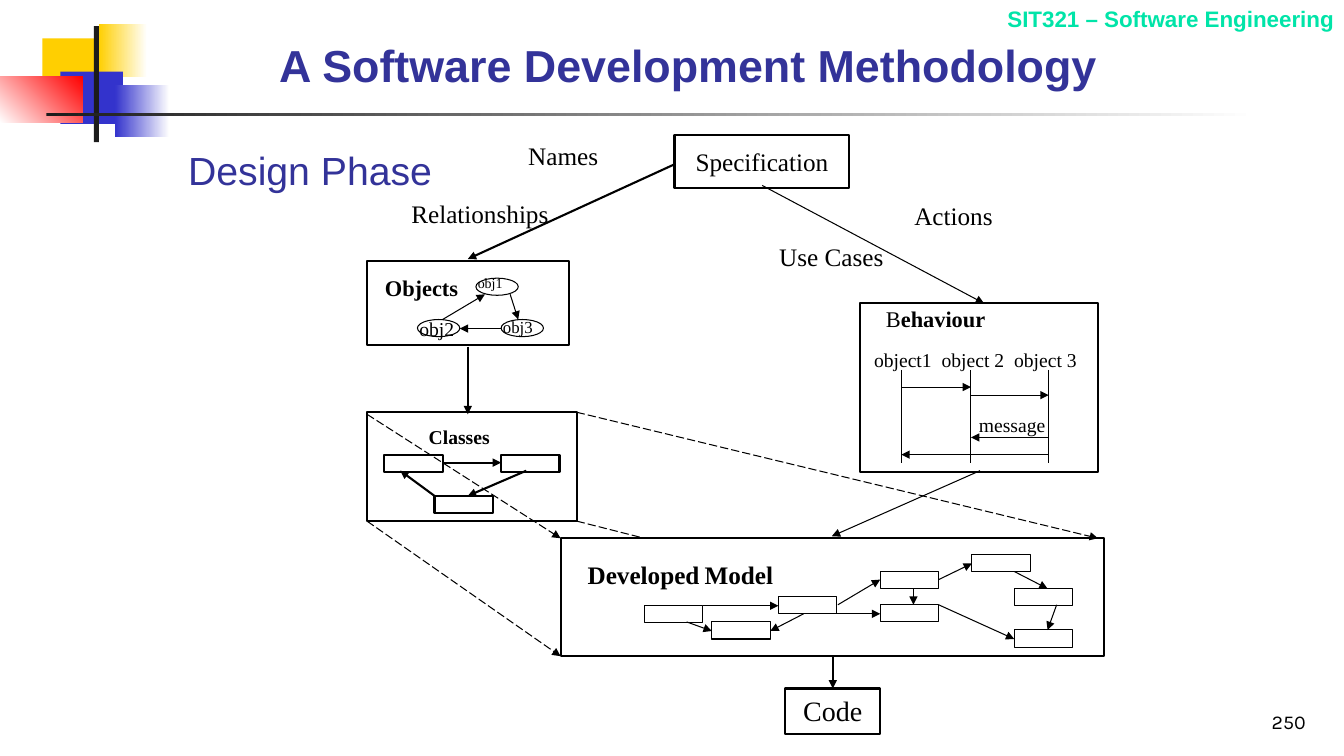
from lxml import etree
from pptx import Presentation
from pptx.dml.color import RGBColor
from pptx.enum import dml, shapes, text
from pptx.oxml import ns
from pptx.util import Inches, Pt

BLACK = RGBColor(0x00, 0x00, 0x00)
WHITE = RGBColor(0xFF, 0xFF, 0xFF)
YELLOW = RGBColor(0xFF, 0xCF, 0x01)
BLUE = RGBColor(0x33, 0x33, 0xCC)
RED = RGBColor(0xFF, 0x00, 0x00)
CHARCOAL = RGBColor(0x1C, 0x1C, 0x1C)
GREEN = RGBColor(0x00, 0xE4, 0xA8)
NAVY = RGBColor(0x33, 0x33, 0x99)
SERIF = "Times New Roman"
LEFT, CENTER, RIGHT = text.PP_ALIGN.LEFT, text.PP_ALIGN.CENTER, text.PP_ALIGN.RIGHT
RECT, OVAL = shapes.MSO_SHAPE.RECTANGLE, shapes.MSO_SHAPE.OVAL
THIN, THICK = 0.75, 1.5

prs = Presentation()
prs.slide_width, prs.slide_height = Inches(13.33), Inches(7.5)
s = prs.slides.add_slide(prs.slide_layouts[6])


def box(x, y, w, h, weight=0, kind=RECT):
    """Unfilled shape, outlined in black when a weight is given."""
    sp = s.shapes.add_shape(kind, Inches(x), Inches(y), Inches(w), Inches(h))
    sp.shadow.inherit = False
    sp.fill.background()
    if weight:
        sp.line.color.rgb = BLACK
        sp.line.width = Pt(weight)
    else:
        sp.line.fill.background()
    return sp


def label(x, y, w, h, runs, size, align=LEFT, font=SERIF, color=BLACK,
          anchor=text.MSO_ANCHOR.TOP, wrap=True):
    """Text box; runs is a list of (words, bold)."""
    sp = s.shapes.add_textbox(Inches(x), Inches(y), Inches(w), Inches(h))
    tf = sp.text_frame
    tf.word_wrap = wrap
    tf.vertical_anchor = anchor
    p = tf.paragraphs[0]
    p.alignment = align
    for words, bold in runs:
        r = p.add_run()
        r.text = words
        r.font.name, r.font.size, r.font.bold = font, Pt(size), bold
        r.font.color.rgb = color
    return sp


# Corner ornament and rule: start colour, end colour (None = solid), angle
for x, y, w, h, start, end, angle in [
    (0.42, 0.38, 0.64, 0.52, YELLOW, None, 0),
    (0.98, 0.24, 0.48, 0.52, YELLOW, WHITE, 0),
    (0.6, 0.71, 0.62, 0.52, BLUE, None, 0),
    (1.14, 0.84, 0.54, 0.52, BLUE, WHITE, 0),
    (0, 0.76, 0.82, 0.46, WHITE, RED, 45),
    (0.93, 0.26, 0.05, 1.15, CHARCOAL, None, 0),
    (0.46, 1.12, 12, 0.03, CHARCOAL, WHITE, 0),
]:
    fill = box(x, y, w, h).fill
    if end is None:
        fill.solid()
        fill.fore_color.rgb = start
    else:
        fill.gradient()
        fill.gradient_angle = angle
        for stop, color in zip(fill.gradient_stops, (start, end)):
            stop.color.rgb = color

# Header, title, subtitle and page number
BOTTOM = text.MSO_ANCHOR.BOTTOM
label(8.03, 0, 5.3, 0.37, [("SIT321 – Software Engineering", True)], 16, RIGHT, "Arial", GREEN)
label(2.67, 0.04, 8.75, 0.92, [("A Software Development Methodology", True)], 32,
      LEFT, "Arial", NAVY, BOTTOM)
label(1.76, 1.4, 2.63, 0.57, [("Design Phase", False)], 28, CENTER, "Arial", NAVY, wrap=False)
label(10.27, 6.83, 2.78, 0.5, [("250", False)], 14, RIGHT, "Karla", BLACK, BOTTOM)

# Main frames: specification, objects, classes, behaviour, developed model, code
for frame in [(6.69, 1.34, 1.73, 0.53), (3.64, 2.59, 2, 0.83), (3.64, 4.09, 2.08, 1.08),
              (8.53, 3.01, 2.36, 1.67), (5.56, 5.34, 5.39, 1.17), (7.79, 6.83, 0.94, 0.45)]:
    sp = box(*frame, THICK)

# The code frame carries its own text
tf = sp.text_frame
tf.vertical_anchor = text.MSO_ANCHOR.TOP
p = tf.paragraphs[0]
p.alignment = CENTER
r = p.add_run()
r.text = "Code"
r.font.name, r.font.size, r.font.color.rgb = SERIF, Pt(20), BLACK

# Object ovals, class boxes and model boxes
for x, y in [(4.72, 2.76), (4.97, 3.17), (4.14, 3.17)]:
    box(x, y, 0.42, 0.17, THIN, OVAL)
for x, y in [(4.97, 4.51), (3.81, 4.51), (4.31, 4.92)]:
    box(x, y, 0.58, 0.17, THICK)
for x, y in [(7.72, 5.92), (6.39, 6.01), (7.06, 6.17), (8.73, 5.67),
             (10.06, 5.84), (8.73, 6), (9.64, 5.5), (10.06, 6.25)]:
    box(x, y, 0.58, 0.17, THIN)

# Diagram labels
for x, y, w, h, runs, size, align in [
    (6.8, 1.4, 1.52, 0.4, [("Specification", False)], 18, LEFT),
    (5.14, 1.34, 1.42, 0.4, [("Names", False)], 18, LEFT),
    (3.72, 1.92, 2.08, 0.4, [("Relationships", False)], 18, CENTER),
    (8.97, 1.94, 1.5, 0.4, [("Actions", False)], 18, LEFT),
    (7.63, 2.34, 1.5, 0.4, [("Use Cases", False)], 18, LEFT),
    (3.72, 2.67, 1.33, 0.37, [("Objects", True)], 16, LEFT),
    (4.64, 2.67, 0.75, 0.27, [("obj1", False)], 10, LEFT),
    (4.06, 3.09, 0.58, 0.33, [("obj2", False)], 14, LEFT),
    (4.89, 3.09, 0.75, 0.3, [("obj3", False)], 12, LEFT),
    (3.89, 4.17, 1.33, 0.33, [("Classes", True)], 14, CENTER),
    (8.68, 2.98, 1.2, 0.37, [("B", False), ("ehaviour", True)], 16, CENTER),
    (8.57, 3.4, 0.78, 0.33, [("object1", False)], 14, LEFT),
    (9.24, 3.4, 0.83, 0.33, [("object 2", False)], 14, LEFT),
    (9.96, 3.4, 0.83, 0.33, [("object 3", False)], 14, LEFT),
    (9.61, 4.05, 1.03, 0.33, [("message", False)], 14, LEFT),
]:
    label(x, y, w, h, runs, size, align)
developed = label(5.73, 5.5, 3.08, 0.4, [("Developed", True), (" ", True), ("Model", True)], 18)
developed.text_frame.paragraphs[0].runs[1].font.size = Pt(14)

# Lines, grouped by weight, dash and arrowhead
LIFELINES = [(x, 3.67, x, 4.59) for x in (8.94, 9.63, 10.4)]
THICK_ARROWS = [
    (6.69, 1.63, 4.64, 2.57), (4.64, 3.44, 4.64, 4.11), (8.26, 6.51, 8.26, 6.83),
    (4.39, 4.59, 4.97, 4.59), (5.22, 4.67, 4.64, 4.92), (4.31, 4.92, 3.97, 4.67),
]
THIN_ARROWS = [
    # Between phases
    (7.56, 1.84, 9.76, 3.01), (9.72, 4.67, 8.25, 5.32),
    # Objects
    (4.39, 3.17, 4.81, 2.92), (5.06, 2.92, 5.14, 3.17), (4.97, 3.26, 4.56, 3.26),
    # Messages
    (8.94, 3.84, 9.63, 3.84), (9.63, 3.92, 10.4, 3.92),
    (10.4, 4.34, 9.63, 4.34), (10.4, 4.51, 8.94, 4.51),
    # Developed model
    (6.97, 6.01, 7.72, 6.01), (6.81, 6.17, 7.06, 6.26), (7.97, 6.09, 7.64, 6.26),
    (8.31, 6, 8.73, 5.75), (9.31, 5.75, 9.64, 5.59), (10.06, 5.67, 10.39, 5.84),
    (10.48, 6, 10.39, 6.25), (9.31, 6, 10.06, 6.34), (8.14, 6.09, 8.73, 6.09),
    (9.06, 5.84, 9.06, 6),
]
ZOOM_ARROWS = [(3.64, 4.11, 5.56, 5.34), (3.64, 5.17, 5.56, 6.51), (5.72, 4.09, 10.89, 5.34)]
ZOOM_LINE = [(5.72, 5.17, 6.39, 5.34)]

for lines, weight, dashed, arrow in [
    (LIFELINES, THIN, False, False),
    (THICK_ARROWS, THICK, False, True),
    (THIN_ARROWS, THIN, False, True),
    (ZOOM_ARROWS, THIN, True, True),
    (ZOOM_LINE, THIN, True, False),
]:
    for ends in lines:
        cxn = s.shapes.add_connector(shapes.MSO_CONNECTOR.STRAIGHT, *map(Inches, ends))
        cxn.line.color.rgb = BLACK
        cxn.line.width = Pt(weight)
        if dashed:
            cxn.line.dash_style = dml.MSO_LINE.LONG_DASH
        if arrow:
            etree.SubElement(cxn.line._get_or_add_ln(), ns.qn("a:tailEnd"), type="triangle")
        etree.SubElement(cxn._element.spPr, ns.qn("a:effectLst"))

prs.save("out.pptx")
